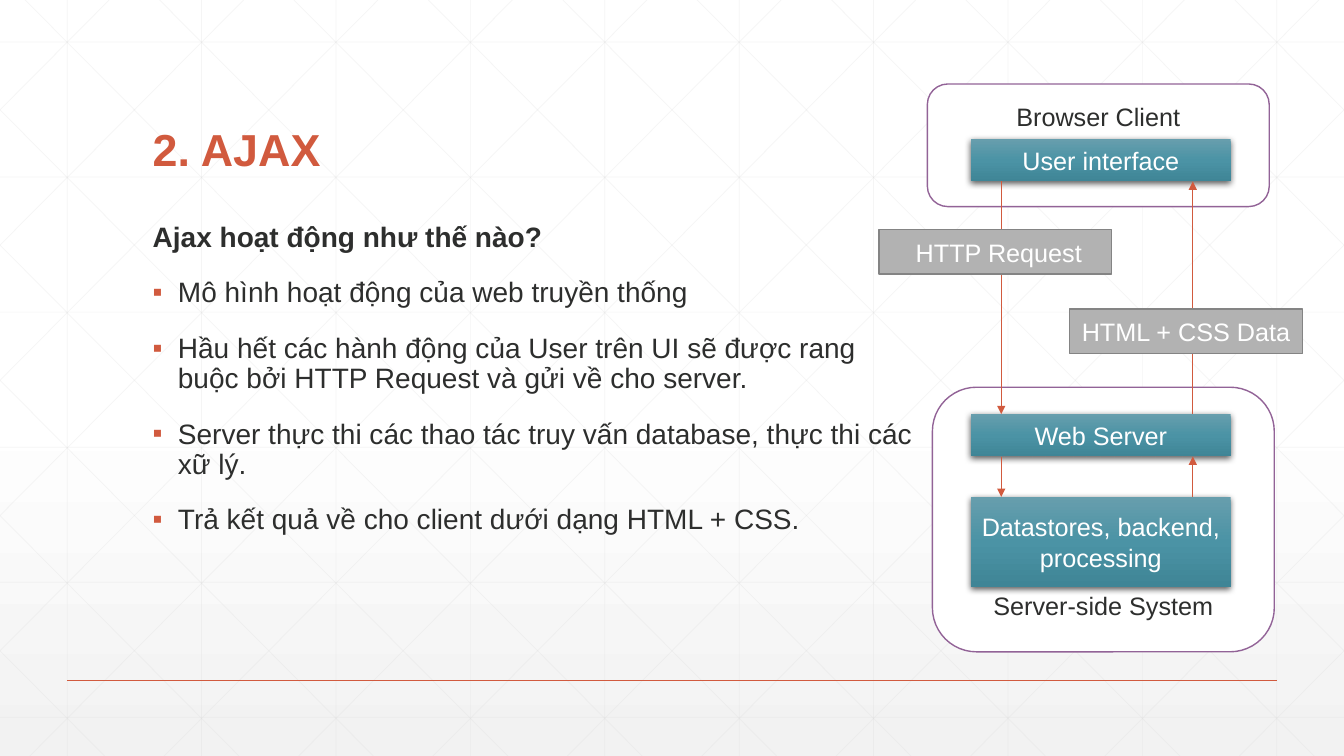
from lxml import etree
from pptx import Presentation
from pptx import util as u
from pptx.dml.color import RGBColor
from pptx.enum import shapes, text
from pptx.oxml.ns import qn

COLUMNS, ROWS = 160, 90
FONT = "Arial"
COLORS = {
    "accent": "D15A3E", "ink": "2D2E2D", "white": "FFFFFF", "lattice": "D9D9D9",
    "frame": "926397", "label": "B2B2B2", "label_edge": "848484", "shadow": "000000",
    "teal_top": "679EAD", "teal_middle": "4B93A5", "teal_bottom": "3F8596", "haze": "F2F2F2",
}
LEFT, CENTER = text.PP_ALIGN.LEFT, text.PP_ALIGN.CENTER
TOP, MIDDLE, BOTTOM = text.MSO_ANCHOR.TOP, text.MSO_ANCHOR.MIDDLE, text.MSO_ANCHOR.BOTTOM


def add_xml(parent, tag, **attributes):
    node = etree.SubElement(parent, qn(tag))
    for name, value in attributes.items():
        node.set(name, str(value))
    return node


class DiagramSlide:
    """Draws styled elements on one slide, measured in grid columns and rows."""

    def __init__(self, presentation):
        self.column = presentation.slide_width / COLUMNS
        self.row = presentation.slide_height / ROWS
        self.slide = presentation.slides.add_slide(presentation.slide_layouts[6])

    def place(self, column, row):
        return u.Emu(round(column * self.column)), u.Emu(round(row * self.row))

    def color(self, name):
        return RGBColor.from_string(COLORS[name])

    def gradient(self, fill, element, stops):
        fill.gradient()
        fill.gradient_angle = 270
        stop_list = element.find(".//" + qn("a:gsLst"))
        for stop in list(stop_list):
            stop_list.remove(stop)
        for percent, name in stops:
            stop = add_xml(stop_list, "a:gs", pos=percent * 1000)
            add_xml(stop, "a:srgbClr", val=COLORS[name])

    def background(self, stops):
        self.gradient(self.slide.background.fill, self.slide.element, stops)

    def line(self, start, end, color="accent", width=0.5, opacity=100, arrow=False):
        connector = self.slide.shapes.add_connector(
            shapes.MSO_CONNECTOR.STRAIGHT, *self.place(*start), *self.place(*end))
        connector.line.color.rgb = self.color(color)
        connector.line.width = u.Pt(width)
        properties = connector.element.spPr
        outline = properties.find(qn("a:ln"))
        if opacity < 100:
            add_xml(outline.find(".//" + qn("a:srgbClr")), "a:alpha", val=opacity * 1000)
        if arrow:
            add_xml(outline, "a:tailEnd", type="triangle")
        add_xml(properties, "a:effectLst")

    def add_text(self, paragraph, content, size, color, bold=False, align=LEFT):
        paragraph.alignment = align
        run = paragraph.add_run()
        run.text = content
        run.font.name, run.font.size, run.font.bold = FONT, u.Pt(size), bold
        run.font.color.rgb = self.color(color)

    def text_box(self, column, row, width, height, anchor=TOP):
        box = self.slide.shapes.add_textbox(*self.place(column, row), *self.place(width, height))
        box.text_frame.word_wrap = True
        box.text_frame.vertical_anchor = anchor
        return box.text_frame

    def title(self, content, *area):
        paragraph = self.text_box(*area, anchor=BOTTOM).paragraphs[0]
        paragraph.line_spacing = 0.9
        self.add_text(paragraph, content, 32, "accent", bold=True)

    def body(self, heading, points, *area):
        frame = self.text_box(*area)
        for index, content in enumerate([heading, *points]):
            paragraph = frame.add_paragraph() if index else frame.paragraphs[0]
            paragraph.line_spacing = 0.9
            paragraph.space_before = u.Pt(18)
            self.add_text(paragraph, content, 20, "ink", bold=index == 0)
            if index:
                self.bullet(paragraph)

    def bullet(self, paragraph):
        properties = paragraph._p.get_or_add_pPr()
        indent = u.Inches(0.25)
        properties.set("marL", str(indent))
        properties.set("indent", str(-indent))
        add_xml(add_xml(properties, "a:buClr"), "a:srgbClr", val=COLORS["accent"])
        add_xml(properties, "a:buFont", typeface=FONT)
        add_xml(properties, "a:buChar", char="▪")

    def box(self, kind, area, content, fill=None, edge=None, ink="white", anchor=MIDDLE):
        column, row, width, height = area
        shape = self.slide.shapes.add_shape(
            kind, *self.place(column, row), *self.place(width, height))
        shape.shadow.inherit = False
        if fill:
            shape.fill.solid()
            shape.fill.fore_color.rgb = self.color(fill)
        if edge:
            shape.line.color.rgb = self.color(edge)
            shape.line.width = u.Pt(1)
        else:
            shape.line.fill.background()
        shape.text_frame.word_wrap = True
        shape.text_frame.vertical_anchor = anchor
        self.add_text(shape.text_frame.paragraphs[0], content, 18, ink, align=CENTER)
        return shape

    def frame(self, area, content, anchor, inset):
        shape = self.box(shapes.MSO_SHAPE.ROUNDED_RECTANGLE, area, content,
                         "white", "frame", "ink", anchor)
        margin = self.place(0, inset)[1]
        if anchor == TOP:
            shape.text_frame.margin_top = margin
        else:
            shape.text_frame.margin_bottom = margin

    def component(self, area, content):
        shape = self.box(shapes.MSO_SHAPE.RECTANGLE, area, content)
        self.gradient(shape.fill, shape.element,
                      [(0, "teal_top"), (50, "teal_middle"), (100, "teal_bottom")])
        effects = shape.element.spPr.find(qn("a:effectLst"))
        shadow = add_xml(effects, "a:outerShdw", blurRad=u.Pt(4.5), dist=u.Pt(1.5),
                         dir=5400000, algn="ctr", rotWithShape=0)
        tint = add_xml(shadow, "a:srgbClr", val=COLORS["shadow"])
        add_xml(tint, "a:alpha", val=63000)

    def label(self, column, row, content):
        self.box(shapes.MSO_SHAPE.RECTANGLE, (column, row, 27.7, 5.3), content,
                 "label", "label_edge")

    def lattice(self):
        style = {"color": "lattice", "opacity": 25}
        for index in range(10):
            column = 8 + 16 * index
            self.line((column, 0), (column, ROWS), **style)
        for index in range(6):
            row = 5 + 16.08 * index
            self.line((0, row), (COLUMNS, row), **style)
        run = 89.45
        for index in range(-5, 10):
            origin = 3 + 16 * index
            first, last = max(origin, 0), min(origin + run, COLUMNS)
            top, bottom = [(column - origin) * ROWS / run for column in (first, last)]
            self.line((first, top), (last, bottom), **style)
            self.line((COLUMNS - first, top), (COLUMNS - last, bottom), **style)


def main():
    presentation = Presentation()
    presentation.slide_width, presentation.slide_height = u.Inches(13.33), u.Inches(7.5)
    diagram = DiagramSlide(presentation)
    diagram.background([(0, "white"), (53, "white"), (100, "haze")])
    diagram.lattice()
    diagram.line((8, 81), (152, 81), width=1)
    diagram.title("2. AJAX", 17, 6.6, 126, 15)
    diagram.body("Ajax hoạt động như thế nào?", [
        "Mô hình hoạt động của web truyền thống",
        "Hầu hết các hành động của User trên UI sẽ được rang buộc bởi HTTP Request "
        "và gửi về cho server.",
        "Server thực thi các thao tác truy vấn database, thực thi các xữ lý.",
        "Trả kết quả về cho client dưới dạng HTML + CSS.",
    ], 17, 26, 93.4, 50)

    diagram.frame((110.4, 10, 40.7, 14.6), "Browser Client", TOP, 1.4)
    diagram.frame((111, 46.1, 40.7, 31.5), "Server-side System", BOTTOM, 2.2)
    interface, server, store, bar = 16.55, 49.3, 59.15, 5.05
    for row, height, name in [(interface, bar, "User interface"), (server, bar, "Web Server"),
                              (store, 10.7, "Datastores, backend, processing")]:
        diagram.component((115.6, row, 30.9, height), name)
    for upper, lower in [(server + bar, store), (interface + bar, server)]:
        diagram.line((119.2, upper), (119.2, lower), arrow=True)
        diagram.line((142, lower), (142, upper), arrow=True)
    diagram.label(104.65, 27.35, " HTTP Request")
    diagram.label(127.35, 36.8, "HTML + CSS Data")
    presentation.save("out.pptx")


if __name__ == "__main__":
    main()
